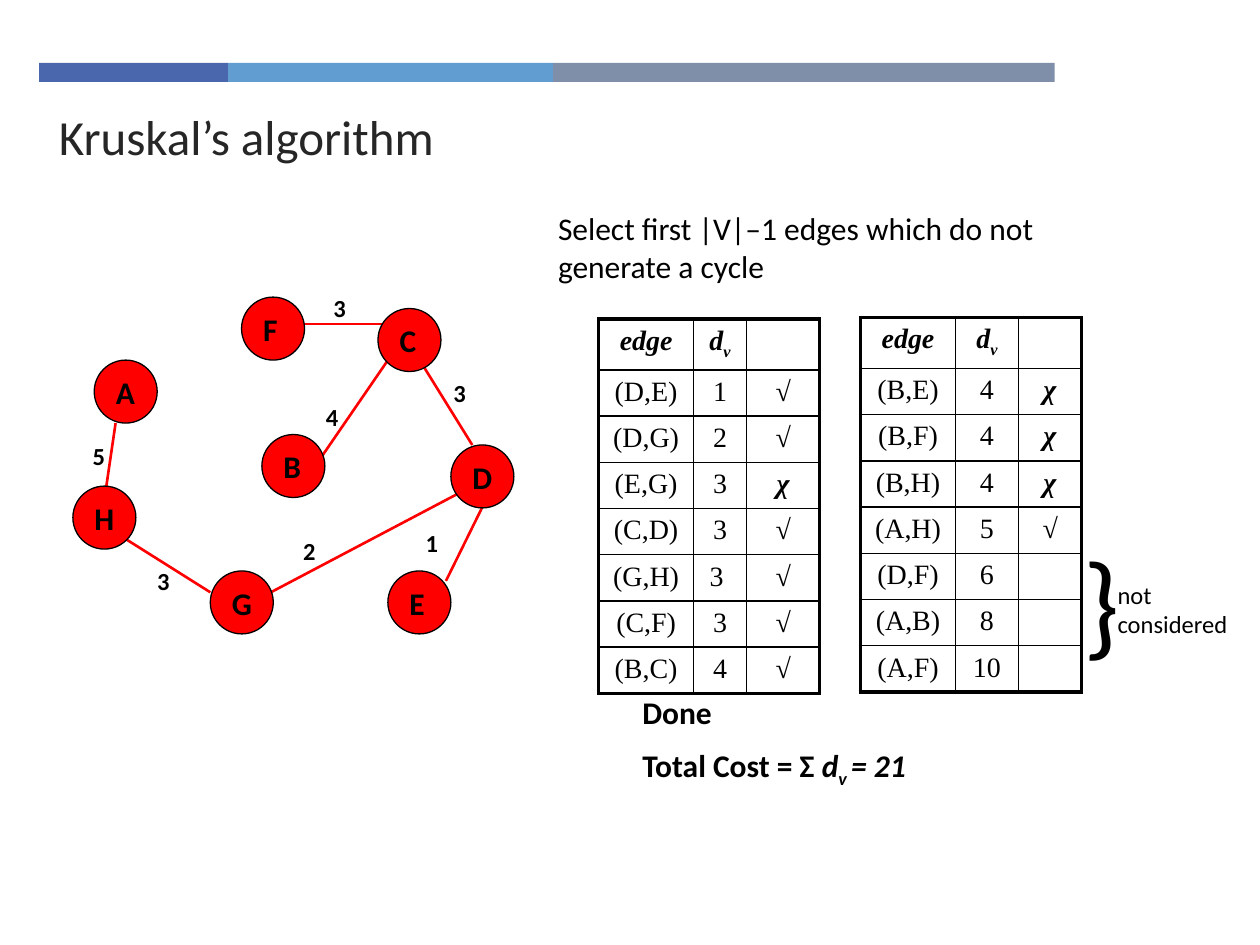
from lxml import etree
from pptx import Presentation
from pptx import util as u
from pptx.dml.color import RGBColor
from pptx.enum import shapes, text
from pptx.oxml import ns

SANS, SERIF = "Calibri", "Times New Roman"
BLACK, RED = "000000", "FF0000"
NODE_SIZE = 1.27
HEADER_HEIGHT, ROW_HEIGHT = 1.02, 0.93

NODES = {"A": (0.43, 1.47), "H": (0, 4.01), "B": (3.81, 2.97), "F": (3.4, 0.2),
         "E": (6.35, 5.72), "D": (7.62, 3.18), "C": (6.15, 0.43), "G": (2.77, 5.72)}

# Start, end, weight, place and width of the weight
EDGES = [
    ((8.56, 3.81), (7.52, 5.92), "1", (6.86, 4.72), 1.32),
    ((4.88, 3.61), (6.35, 1.47), "4", (4.85, 2.18), 0.84),
    ((3.61, 6.35), (8.05, 4.01), "2", (4.39, 4.9), 0.84),
    ((0.64, 4.24), (0.86, 2.74), "5", (0.15, 2.97), 0.84),
    ((4.57, 0.74), (6.27, 0.74), "3", (5, 0), 0.84),
    ((6.99, 1.47), (8.05, 3.18), "3", (7.42, 1.7), 0.84),
    ((2.77, 6.15), (1.07, 5.08), "3", (1.45, 5.49), 0.84),
]

FIRST_EDGES = [("(D,E)", "1", "√"), ("(D,G)", "2", "√"), ("(E,G)", "3", "χ"),
               ("(C,D)", "3", "√"), ("(G,H)", "3 ", "√"), ("(C,F)", "3", "√"),
               ("(B,C)", "4", "√")]
LAST_EDGES = [("(B,E)", "4", "χ"), ("(B,F)", "4", "χ"), ("(B,H)", "4", "χ"),
              ("(A,H)", "5", "√"), ("(D,F)", "6", ""), ("(A,B)", "8", ""),
              ("(A,F)", "10", "")]


def color(value):
    return RGBColor.from_string(value)


def add_run(paragraph, words, size, font=SANS, bold=False, italic=False,
            ink=BLACK, subscript=False):
    run = paragraph.add_run()
    run.text = words
    run.font.name, run.font.size = font, u.Pt(size)
    run.font.bold, run.font.italic = bold, italic
    run.font.color.rgb = color(ink)
    if subscript:
        run.font._element.set("baseline", "-25000")


def add_text(slide, left, top, width, height, lines, size, space=0, **style):
    """Each line is a list of (words, extra style) runs."""
    box = slide.shapes.add_textbox(u.Cm(left), u.Cm(top), u.Cm(width), u.Cm(height))
    frame = box.text_frame
    frame.word_wrap = True
    for index, line in enumerate(lines):
        paragraph = frame.add_paragraph() if index else frame.paragraphs[0]
        paragraph.space_before = u.Pt(space)
        for words, extra in line:
            add_run(paragraph, words, size, **{**style, **extra})


def add_shape(slide, kind, left, top, width, height, fill):
    shape = slide.shapes.add_shape(kind, u.Cm(left), u.Cm(top), u.Cm(width), u.Cm(height))
    shape.shadow.inherit = False
    shape.fill.solid()
    shape.fill.fore_color.rgb = color(fill)
    shape.line.fill.background()
    return shape


def header(slide, left, top):
    # Three-part colour band
    bar_left = left
    for width, fill in ((3.81, "4A66AC"), (6.55, "629DD1"), (10.11, "7F8FA9")):
        add_shape(slide, shapes.MSO_SHAPE.RECTANGLE, bar_left, top, width, 0.38, fill)
        bar_left += width
    # Title
    add_text(slide, left + 0.15, top + 0.76, 18.19, 1.37,
             [[("Kruskal’s algorithm", {})]], 28, space=1, ink="262626")


def graph(slide, left, top):
    # Edges with their weights
    for (x1, y1), (x2, y2), weight, (x, y), width in EDGES:
        edge = slide.shapes.add_connector(
            shapes.MSO_CONNECTOR.STRAIGHT, u.Cm(left + x1), u.Cm(top + y1),
            u.Cm(left + x2), u.Cm(top + y2))
        edge.line.color.rgb = color(RED)
        edge.line.width = u.Pt(1.5)
        etree.SubElement(edge._element.spPr, ns.qn("a:effectLst"))
        add_text(slide, left + x, top + y, width, 0.84, [[(weight, {})]], 14, bold=True)
    # Nodes
    for letter, (x, y) in NODES.items():
        node = add_shape(slide, shapes.MSO_SHAPE.OVAL, left + x, top + y,
                         NODE_SIZE, NODE_SIZE, RED)
        node.line.color.rgb = color(BLACK)
        node.line.width = u.Pt(0.75)
        frame = node.text_frame
        frame.word_wrap = False
        frame.vertical_anchor = text.MSO_ANCHOR.MIDDLE
        frame.paragraphs[0].alignment = text.PP_ALIGN.LEFT
        add_run(frame.paragraphs[0], letter, 18, bold=True)


def set_borders(cell, outer_sides):
    """Sides on the rim of the table are heavier."""
    properties = cell._tc.get_or_add_tcPr()
    for index, side in enumerate(("lnL", "lnR", "lnT", "lnB")):
        width = u.Pt(2.25 if side in outer_sides else 1)
        border = etree.Element(ns.qn("a:" + side), w=str(int(width)))
        fill = etree.SubElement(border, ns.qn("a:solidFill"))
        etree.SubElement(fill, ns.qn("a:srgbClr"), val=BLACK)
        properties.insert(index, border)


def edge_table(slide, left, top, widths, edges):
    rows = [("edge", "d", "")] + edges
    heights = [HEADER_HEIGHT] + [ROW_HEIGHT] * len(edges)
    table = slide.shapes.add_table(
        len(rows), len(widths), u.Cm(left), u.Cm(top),
        u.Cm(sum(widths)), u.Cm(sum(heights))).table
    table.first_row = table.horz_banding = False
    for column, width in zip(table.columns, widths):
        column.width = u.Cm(width)
    for r, (values, height) in enumerate(zip(rows, heights)):
        table.rows[r].height = u.Cm(height)
        for c, value in enumerate(values):
            cell = table.cell(r, c)
            cell.fill.background()
            rim = {"lnL": c == 0, "lnR": c == len(widths) - 1,
                   "lnT": r == 0, "lnB": r == len(rows) - 1}
            set_borders(cell, [side for side, outer in rim.items() if outer])
            if not value:
                cell.margin_top = cell.margin_bottom = 0
                continue
            paragraph = cell.text_frame.paragraphs[0]
            paragraph.alignment = text.PP_ALIGN.CENTER
            strong = r == 0 or c == 2
            add_run(paragraph, value, 16, SERIF, strong, strong)
            if value == "d":
                add_run(paragraph, "v", 16, SERIF, True, True, subscript=True)


def selection(slide, left, top):
    # Rule
    add_text(slide, left, top, 11.23, 1.96,
             [[("Select first |V|–1 edges which do not generate a cycle", {})]], 18)
    # Sorted edges
    edge_table(slide, left + 1.07, top + 2.34, (1.91, 1.07, 1.47), FIRST_EDGES)
    edge_table(slide, left + 6.35, top + 2.31, (1.91, 1.27, 1.27), LAST_EDGES)
    # Result
    total = [("Total Cost = Σ ", {}), ("d", {"italic": True}),
             ("v ", {"italic": True, "subscript": True}), ("= 21", {"italic": True})]
    add_text(slide, left + 1.7, top + 9.75, 8.05, 4.06,
             [[("Done", {})], total], 18, space=9, bold=True)
    # Edges left over
    add_text(slide, left + 10.59, top + 6.48, 1.27, 3.05, [[("}", {})]], 66)
    add_text(slide, left + 11.28, top + 7.47, 2.74, 1.45,
             [[("not", {})], [("considered", {})]], 14)


def main():
    deck = Presentation()
    deck.slide_width, deck.slide_height = u.Cm(25.4), u.Cm(19.05)
    slide = deck.slides.add_slide(deck.slide_layouts[6])
    header(slide, 0.79, 1.27)
    graph(slide, 1.47, 5.79)
    selection(slide, 11, 4.09)
    deck.save("out.pptx")


if __name__ == "__main__":
    main()
